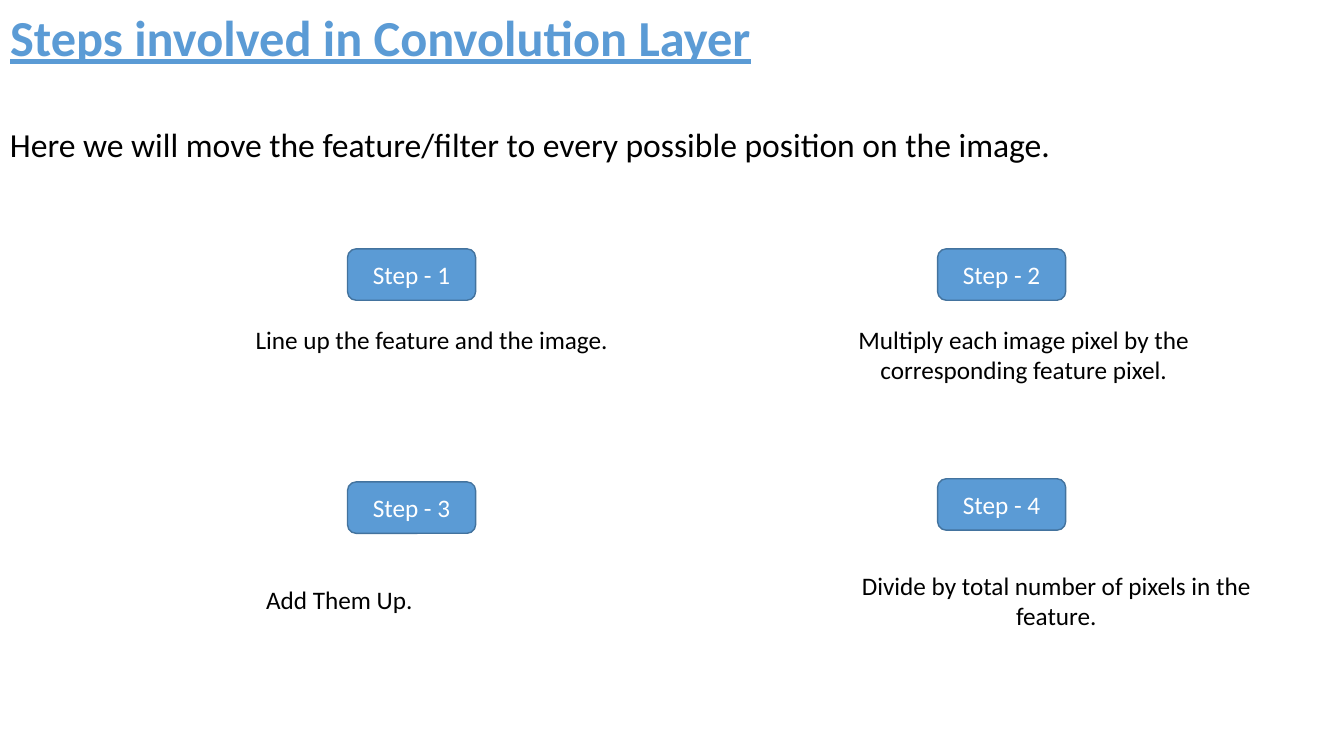
import pptx
import pptx.dml.color
import pptx.enum.shapes
import pptx.enum.text
import pptx.util

ALIGN = pptx.enum.text.PP_ALIGN
ANCHOR = pptx.enum.text.MSO_ANCHOR


class StepSlide:
    FONT = "Calibri"
    COLOURS = {"accent": "5B9BD5", "edge": "43739E", "ink": "000000", "paper": "FFFFFF"}
    EMU_PER_PX = 9525

    def __init__(self, deck):
        self.page = deck.slides.add_slide(deck.slide_layouts.get_by_name("Title Only"))

    @classmethod
    def px(cls, *lengths):
        return [pptx.util.Emu(length * cls.EMU_PER_PX) for length in lengths]

    def colour(self, name):
        return pptx.dml.color.RGBColor.from_string(self.COLOURS[name])

    def set_text(self, shape, text, size, colour, align=ALIGN.LEFT, anchor=ANCHOR.TOP):
        """Put one styled paragraph in a shape and return its font."""
        frame = shape.text_frame
        frame.text = text
        frame.word_wrap = True
        frame.auto_size = pptx.enum.text.MSO_AUTO_SIZE.NONE
        frame.vertical_anchor = anchor
        para = frame.paragraphs[0]
        para.alignment = align
        font = para.runs[0].font
        font.name = self.FONT
        font.size = pptx.util.Pt(size)
        font.color.rgb = self.colour(colour)
        return font

    def title(self, text, left, top, width, height):
        title = self.page.shapes.title
        title.left, title.top, title.width, title.height = self.px(left, top, width, height)
        font = self.set_text(title, text, 36, "accent")
        font.bold = True
        font.underline = True

    def text(self, text, left, top, width, height, size=18, align=ALIGN.LEFT):
        box = self.page.shapes.add_textbox(*self.px(left, top, width, height))
        self.set_text(box, text, size, "ink", align)

    def badge(self, text, left, top, width=122, height=49):
        badge = self.page.shapes.add_shape(
            pptx.enum.shapes.MSO_SHAPE.ROUNDED_RECTANGLE,
            *self.px(left, top, width, height))
        badge.shadow.inherit = False
        badge.fill.solid()
        badge.fill.fore_color.rgb = self.colour("accent")
        badge.line.color.rgb = self.colour("edge")
        badge.line.width = pptx.util.Pt(1)
        self.set_text(badge, text, 18, "paper", ALIGN.CENTER, ANCHOR.MIDDLE)


def main():
    deck = pptx.Presentation()
    deck.slide_width, deck.slide_height = StepSlide.px(1280, 720)

    slide = StepSlide(deck)
    slide.title("Steps involved in Convolution Layer", 0, 1, 1003, 68)
    slide.text("Here we will move the feature/filter to every possible position on the image.",
               0, 113, 1280, 48, size=24)

    left_column, right_column = 331, 893
    steps = [
        ((left_column, 237), "Line up the feature and the image.",
         (234, 304, 366, 38), ALIGN.LEFT),
        ((right_column, 237), "Multiply each image pixel by the corresponding feature pixel.",
         (785, 304, 380, 68), ALIGN.CENTER),
        ((left_column, 459), "Add Them Up.",
         (244, 552, 263, 38), ALIGN.LEFT),
        ((right_column, 456), "Divide by total number of pixels in the feature.",
         (811, 538, 390, 68), ALIGN.CENTER),
    ]
    for number, (badge_place, caption, caption_place, align) in enumerate(steps, start=1):
        slide.badge(f"Step - {number}", *badge_place)
        slide.text(caption, *caption_place, align=align)

    deck.save("out.pptx")


if __name__ == "__main__":
    main()
